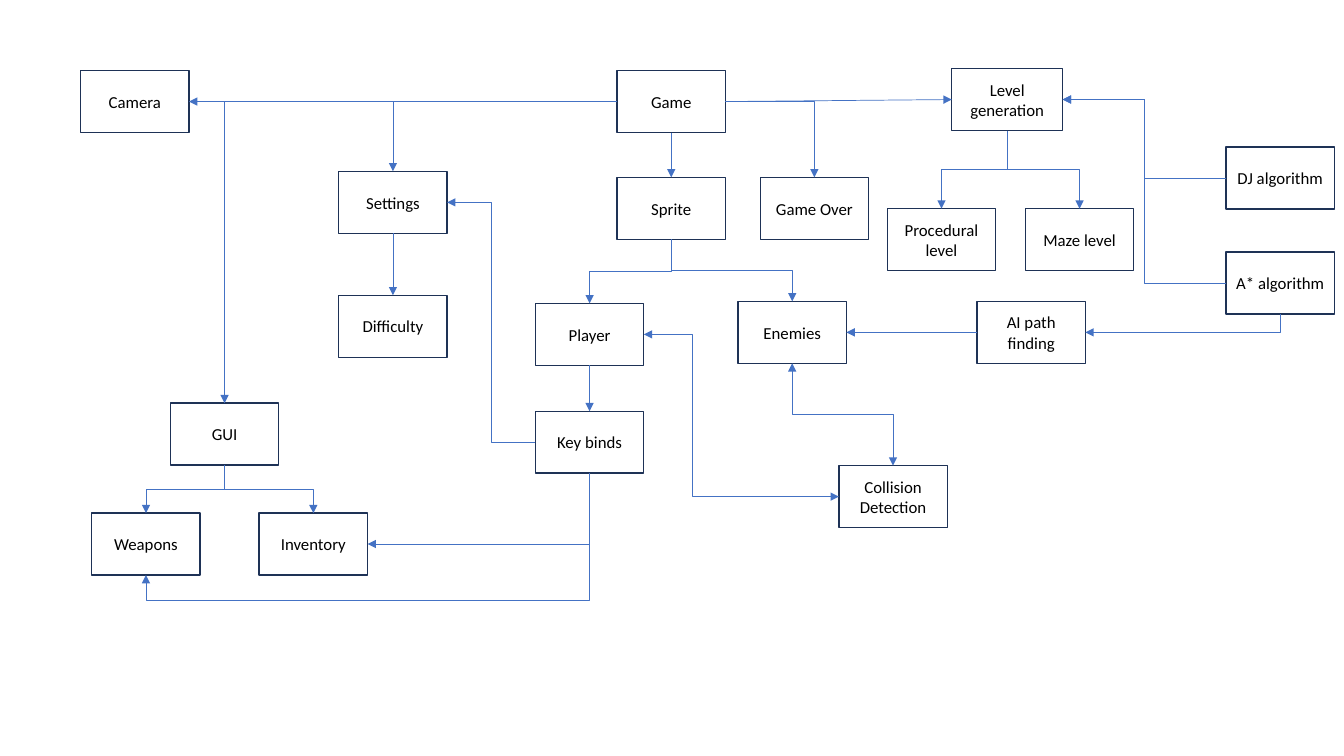
from lxml import etree
from pptx import Presentation
from pptx.dml.color import RGBColor
from pptx.enum.shapes import MSO_CONNECTOR, MSO_SHAPE
from pptx.enum.text import MSO_ANCHOR, PP_ALIGN
from pptx.oxml.ns import qn
from pptx.util import Inches, Pt

RECTANGLE = MSO_SHAPE.RECTANGLE
STRAIGHT, ELBOW = MSO_CONNECTOR.STRAIGHT, MSO_CONNECTOR.ELBOW
CENTER, MIDDLE = PP_ALIGN.CENTER, MSO_ANCHOR.MIDDLE

COLORS = {"box": "FFFFFF", "border": "1E3256", "text": "000000", "arrow": "4472C4"}
FONT = "Calibri"

# The grid has square cells: 133.3 columns by 75 rows.
CELL = Inches(0.1)
BOX_WIDTH, BOX_HEIGHT = 10.75, 6.15
QUARTER_TURN = 90 * 60000

# Connection sites of a rectangle: index, share of width, share of height.
SITES = {
    "top": (0, 0.5, 0),
    "left": (1, 0, 0.5),
    "bottom": (2, 0.5, 1),
    "right": (3, 1, 0.5),
}
VERTICAL = ("top", "bottom")

presentation = Presentation()
presentation.slide_width = Inches(13.33)
presentation.slide_height = Inches(7.5)
slide = presentation.slides.add_slide(presentation.slide_layouts[6])


def add_box(text, column, row, width=BOX_WIDTH, size=12, color="text"):
    """Add a bordered box with centred text at a grid position."""
    shape = slide.shapes.add_shape(
        RECTANGLE, *(int(n * CELL) for n in (column, row, width, BOX_HEIGHT)))
    shape.shadow.inherit = False
    shape.fill.solid()
    shape.fill.fore_color.rgb = RGBColor.from_string(COLORS["box"])
    shape.line.color.rgb = RGBColor.from_string(COLORS["border"])
    shape.line.width = Pt(1)
    shape.text_frame.word_wrap = True
    shape.text_frame.vertical_anchor = MIDDLE
    paragraph = shape.text_frame.paragraphs[0]
    paragraph.alignment = CENTER
    run = paragraph.add_run()
    run.text = text
    run.font.name = FONT
    run.font.size = Pt(size)
    run.font.color.rgb = RGBColor.from_string(COLORS[color])
    return shape


def add_arrow(source, source_side, target, target_side, bend=0.5, both_ends=False):
    """Glue an arrow between two box sides, straight if they line up."""
    ends = []
    for box, side in ((source, source_side), (target, target_side)):
        site, across, down = SITES[side]
        ends.append((box.left + box.width * across, box.top + box.height * down))
    (x1, y1), (x2, y2) = ends
    straight = min(abs(x2 - x1), abs(y2 - y1)) < CELL / 2
    turned = not straight and source_side in VERTICAL
    if turned:
        # An elbow leaves sideways, so lay it out flat and turn it about its centre.
        middle_x, middle_y = (x1 + x2) / 2, (y1 + y2) / 2
        half_x, half_y = (y2 - y1) / 2, (x1 - x2) / 2
        x1, y1 = middle_x - half_x, middle_y - half_y
        x2, y2 = middle_x + half_x, middle_y + half_y
    connector = slide.shapes.add_connector(
        STRAIGHT if straight else ELBOW, *(int(n) for n in (x1, y1, x2, y2)))
    connector.line.color.rgb = RGBColor.from_string(COLORS["arrow"])
    connector.line.width = Pt(0.5)

    element = connector._element
    properties = element.spPr
    geometry = properties.find(qn("a:prstGeom"))
    if turned:
        properties.find(qn("a:xfrm")).set("rot", str(QUARTER_TURN))
    if not straight:
        if (source_side in VERTICAL) != (target_side in VERTICAL):
            geometry.set("prst", "bentConnector2")
        elif bend != 0.5:
            etree.SubElement(geometry.find(qn("a:avLst")), qn("a:gd"),
                             name="adj1", fmla=f"val {round(bend * 100000)}")
    line = properties.find(qn("a:ln"))
    for tag in ("a:headEnd", "a:tailEnd") if both_ends else ("a:tailEnd",):
        etree.SubElement(line, qn(tag), type="triangle")
    etree.SubElement(properties, qn("a:effectLst"))

    glue = element.find(f".//{qn('p:cNvCxnSpPr')}")
    for tag, box, side in (("a:stCxn", source, source_side),
                           ("a:endCxn", target, target_side)):
        etree.SubElement(glue, qn(tag), id=str(box.shape_id), idx=str(SITES[side][0]))


# Text, column and row of each box.
boxes = {
    text: add_box(text, column, row)
    for text, column, row in (
        ("Game", 61.2, 7), ("Camera", 8, 7),
        ("Sprite", 61.2, 17.6), ("Game Over", 75.4, 17.6),
        ("Player", 53.1, 30.1), ("Enemies", 73.2, 29.9),
        ("Key binds", 53.1, 40.8), ("Collision Detection", 83.2, 46.2),
        ("Settings", 33.6, 17), ("Difficulty", 33.6, 29.3),
        ("GUI", 16.9, 40), ("Weapons", 9.1, 50.9), ("Inventory", 25.7, 50.9),
        ("Procedural level", 88, 20.7), ("Maze level", 101.7, 20.7),
        ("DJ algorithm", 121.6, 14.6), ("A* algorithm", 121.6, 25),
        ("AI path finding", 96.9, 29.9),
    )
}
boxes["Level generation"] = add_box("Level generation", 94.4, 6.8, width=11)

# Parent box, side it leaves from, child box, side it enters.
for source, source_side, target, target_side in (
    ("Game", "left", "Camera", "right"),
    ("Game", "left", "Settings", "top"),
    ("Game", "left", "GUI", "top"),
    ("Game", "right", "Level generation", "left"),
    ("Game", "right", "Game Over", "top"),
    ("Game", "bottom", "Sprite", "top"),
    ("Sprite", "bottom", "Player", "top"),
    ("Sprite", "bottom", "Enemies", "top"),
    ("Player", "bottom", "Key binds", "top"),
    ("Settings", "bottom", "Difficulty", "top"),
    ("GUI", "bottom", "Weapons", "top"),
    ("GUI", "bottom", "Inventory", "top"),
    ("Key binds", "left", "Settings", "right"),
    ("Key binds", "bottom", "Inventory", "right"),
    ("Level generation", "bottom", "Procedural level", "top"),
    ("Level generation", "bottom", "Maze level", "top"),
    ("A* algorithm", "left", "Level generation", "right"),
    ("DJ algorithm", "left", "Level generation", "right"),
    ("A* algorithm", "bottom", "AI path finding", "right"),
    ("AI path finding", "left", "Enemies", "right"),
):
    add_arrow(boxes[source], source_side, boxes[target], target_side)

add_arrow(boxes["Key binds"], "bottom", boxes["Weapons"], "bottom", bend=1.25)
add_arrow(boxes["Enemies"], "bottom", boxes["Collision Detection"], "top", both_ends=True)
add_arrow(boxes["Player"], "right", boxes["Collision Detection"], "left",
          bend=0.25, both_ends=True)

presentation.save("out.pptx")
